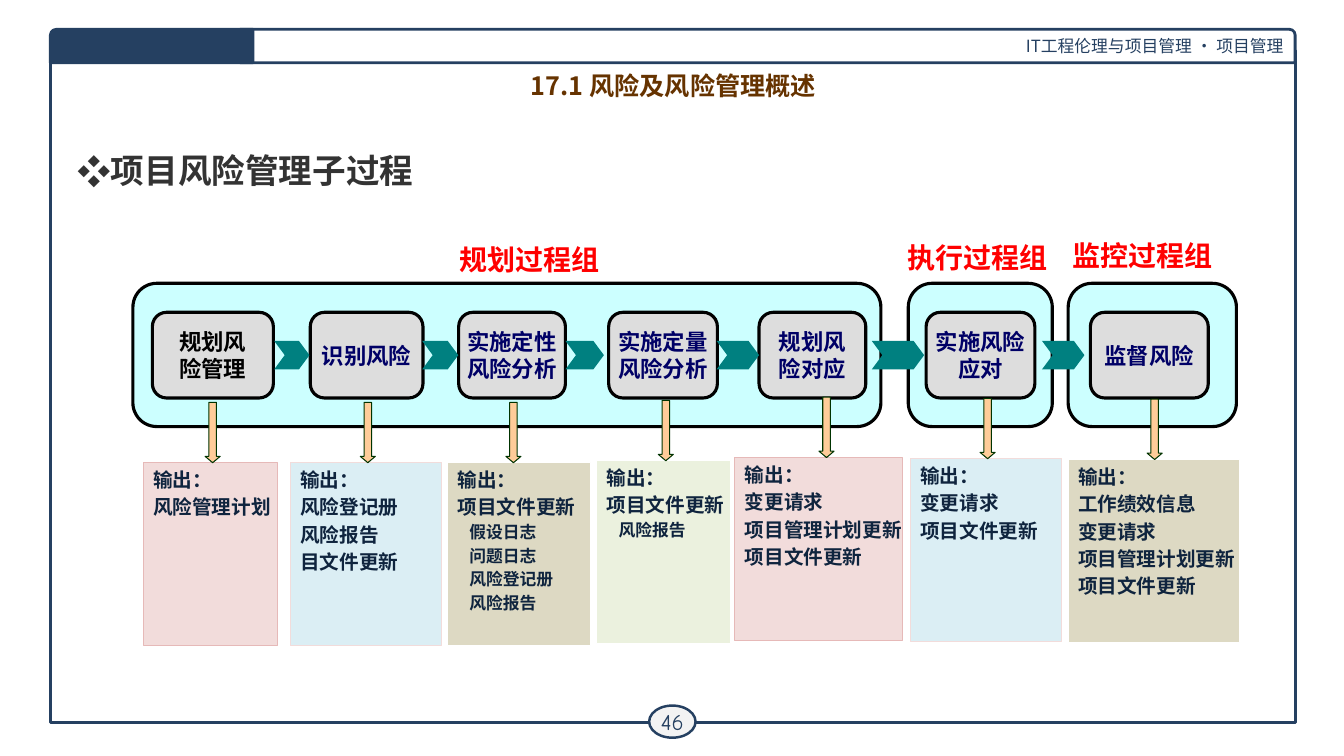
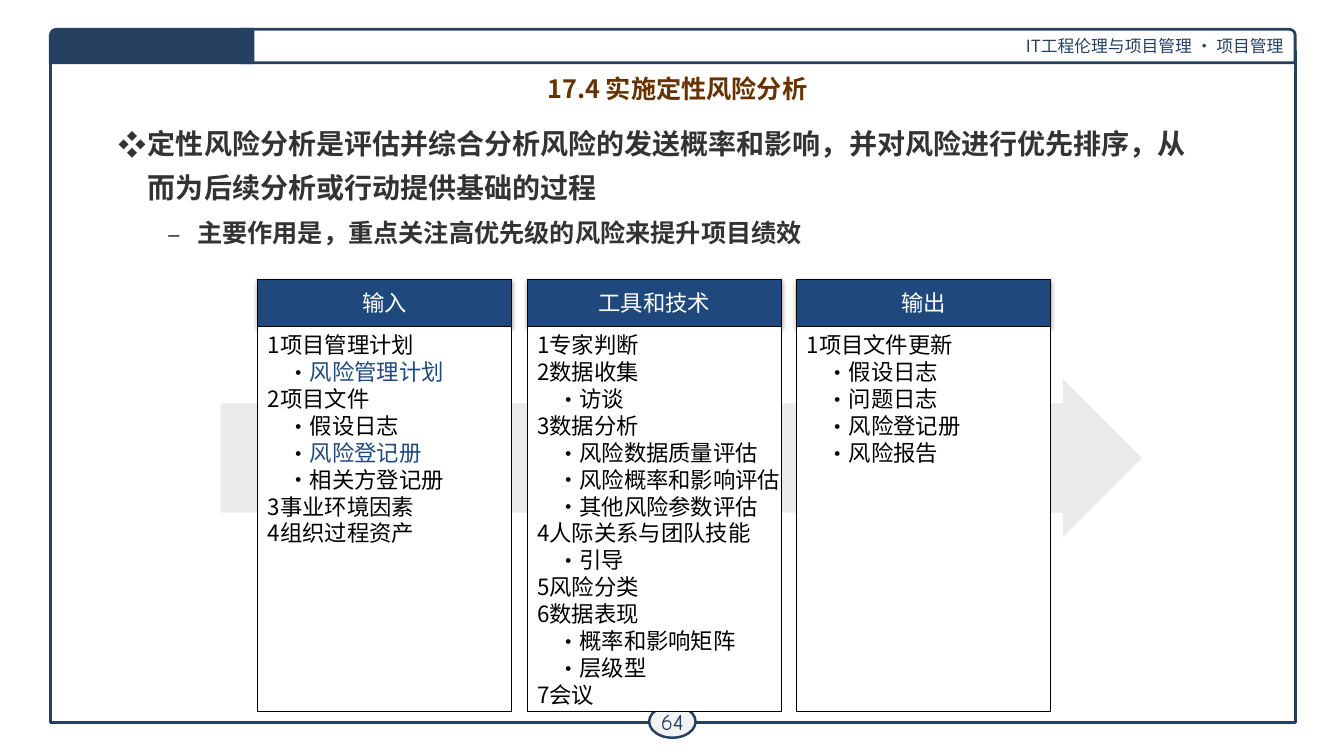
import pptx
import pptx.util
import pptx.dml.color
import pptx.enum.shapes
import pptx.enum.text
import pptx.oxml.ns
import lxml.etree

Cm = pptx.util.Cm
Pt = pptx.util.Pt
RGB = pptx.dml.color.RGBColor.from_string
KIND = pptx.enum.shapes.MSO_SHAPE
ALIGN = pptx.enum.text.PP_ALIGN
ANCHOR = pptx.enum.text.MSO_ANCHOR
qn = pptx.oxml.ns.qn
sub = lxml.etree.SubElement

FACE = "Noto Sans CJK SC"
INK = {
    "navy": "254061", "white": "FFFFFF", "black": "000000", "pale": "F3F3F3",
    "title": "663300", "body": "333333", "red": "FF0000", "cyan": "CCFFFF",
    "gray": "DDDDDD", "deep": "000066", "teal": "008080", "peach": "FFCC99",
    "green": "003300", "note": "0F243E", "rose": "F2DCDB", "pink": "E6B9B8",
    "sky": "DBEEF4", "sand": "DDD9C3", "lime": "EBF1DE", "blue": "1F497D",
    "mist": "EAEAEA",
}
BASE = {"size": 16, "tint": "black", "bold": False, "align": ALIGN.LEFT,
        "face": FACE, "lead": None, "gap": 0, "after": 0,
        "mark": None, "left": 0, "hang": 0}


def draw(slide, kind, box, fill=None, line=None, width=0.75, adj=()):
    shape = slide.shapes.add_shape(kind, *[Cm(n) for n in box])
    shape.shadow.inherit = False
    if fill:
        shape.fill.solid()
        shape.fill.fore_color.rgb = RGB(INK[fill])
    else:
        shape.fill.background()
    if line:
        shape.line.color.rgb = RGB(INK[line])
        shape.line.width = Pt(width)
    else:
        shape.line.fill.background()
    for i, part in enumerate(adj):
        shape.adjustments[i] = part
    return shape


def write(shape, rows, wrap=False, anchor=ANCHOR.TOP, **look):
    frame = shape.text_frame
    frame.word_wrap = wrap
    frame.auto_size = pptx.enum.text.MSO_AUTO_SIZE.NONE
    frame.vertical_anchor = anchor
    for i, row in enumerate(rows):
        text, own = row if isinstance(row, tuple) else (row, {})
        style = {**BASE, **look, **own}
        para = frame.paragraphs[0] if i == 0 else frame.add_paragraph()
        para.text = text
        para.alignment = style["align"]
        para.line_spacing = style["lead"]
        para.space_before = Pt(style["gap"] if i else 0)
        para.space_after = Pt(style["after"])
        prop = para._p.get_or_add_pPr()
        prop.set("marL", str(int(Cm(style["left"]))))
        prop.set("indent", str(int(Cm(-style["hang"]))))
        if style["mark"]:
            tone = sub(prop, qn("a:buClr"))
            sub(tone, qn("a:srgbClr"), val=INK[style.get("dot", style["tint"])])
            sub(prop, qn("a:buFont"), typeface=FACE)
            sub(prop, qn("a:buChar"), char=style["mark"])
        para.font.size = Pt(style["size"])
        para.font.bold = style["bold"]
        para.font.color.rgb = RGB(INK[style["tint"]])
        para.font.name = style["face"]
        sub(prop.find(qn("a:defRPr")), qn("a:ea"), typeface=style["face"])


deck = pptx.Presentation()
deck.slide_width = Cm(33.87)
deck.slide_height = Cm(19.05)
plan = deck.slide_layouts[5]
for hold in list(plan.placeholders):
    if hold.placeholder_format.idx:
        plan.shapes.element.remove(hold._element)

HEADS = [
    ("17.1 风险及风险管理概述", (5.54, 1.65, 22.86, 1), "46"),
    ("17.4 实施定性风险分析", (5.64, 1.73, 22.86, 1.22), "64"),
]
pages = []
for text, box, page in HEADS:
    slide = deck.slides.add_slide(plan)
    title = slide.shapes.title
    title.left, title.top, title.width, title.height = [Cm(n) for n in box]
    write(title, [text], True, size=18, tint="title", bold=True, align=ALIGN.CENTER)
    if not pages:
        edge = draw(slide, KIND.RECTANGLE, (1.27, 1.27, 31.37, 16.94), None, "navy", 2)
        band = draw(slide, KIND.ROUND_SINGLE_CORNER_RECTANGLE if hasattr(KIND, "ROUND_SINGLE_CORNER_RECTANGLE") else KIND.ROUND_1_RECTANGLE,
                    (6.05, 0.74, 26.59, 0.84), "white", "navy", 2)
        write(band, ["IT工程伦理与项目管理 · 项目管理"], True, ANCHOR.MIDDLE,
              size=12, tint="navy", align=ALIGN.RIGHT)
        tab = draw(slide, KIND.ROUND_1_RECTANGLE, (1.27, 0.74, 5.11, 0.84),
                   "navy", "navy", 2, [0.18])
        tab._element.spPr.find(qn("a:xfrm")).set("flipH", "1")
        for shape in (edge, band, tab):
            plan.shapes.element.append(shape._element)
    disc = draw(slide, KIND.OVAL, (16.36, 17.78, 1.17, 0.81), "pale", "navy", 1.75)
    text_box = disc.text_frame
    text_box.margin_left = text_box.margin_right = Cm(0.1)
    text_box.margin_top = text_box.margin_bottom = Cm(0.1)
    write(disc, [page], False, ANCHOR.MIDDLE, tint="navy",
          face="Comic Neue", align=ALIGN.CENTER)
    pages.append(slide)
flow, chart = pages

POINT = {"mark": "❖", "left": 0.74, "hang": 0.74, "after": 2.4}
DASH = {"mark": "–", "left": 1.98, "hang": 0.76, "size": 18, "gap": 0.4, "after": 0.1}
BODIES = [
    (flow, (1.7, 3.15, 30.48, 2.2), 24, 1.5, [("项目风险管理子过程", POINT)]),
    (chart, (2.74, 2.82, 27.76, 3.9), 20, 1.3, [
        ("定性风险分析是评估并综合分析风险的发送概率和影响，并对风险进行优先排序，"
         "从而为后续分析或行动提供基础的过程", POINT),
        ("主要作用是，重点关注高优先级的风险来提升项目绩效", DASH)]),
]
for slide, box, size, lead, rows in BODIES:
    body = slide.shapes.add_textbox(*[Cm(n) for n in box])
    write(body, rows, True, size=size, lead=lead, tint="body", bold=True)

GROUPS = [
    ("规划过程组", 3.35, 18.85, 11.33, 5.99),
    ("执行过程组", 22.89, 3.63, 22.61, 5.94),
    ("监控过程组", 26.92, 4.24, 26.77, 5.89),
]
for name, left, width, tag_left, tag_top in GROUPS:
    draw(flow, KIND.FLOWCHART_ALTERNATE_PROCESS, (left, 7.14, width, 3.61),
         "cyan", "black", 2.25)
    tag = flow.shapes.add_textbox(Cm(tag_left), Cm(tag_top), Cm(4.09), Cm(1.12))
    write(tag, [name], size=20, tint="red", bold=True)

STEPS = [
    (["规划风", "险管理"], 3.84, 3.05, 5.36, (3.61, 11.66, 3.38), "rose", "pink",
     ["风险管理计划"], []),
    (["识别风险"], 7.82, 2.84, 9.27, (7.32, 11.66, 3.81), "sky", "rose",
     ["风险登记册", "风险报告", "目文件更新"], []),
    (["实施定性", "风险分析"], 11.56, 2.69, 12.94, (11.28, 11.66, 3.61), "sand", "white",
     ["项目文件更新"], ["假设日志", "问题日志", "风险登记册", "风险报告"]),
    (["实施定量", "风险分析"], 15.34, 2.74, 16.78, (15.04, 11.61, 3.38), "lime", "white",
     ["项目文件更新"], ["风险报告"]),
    (["规划风", "险对应"], 19.13, 2.69, 20.83, (18.52, 11.53, 4.22), "rose", "pink",
     ["变更请求", "项目管理计划更新", "项目文件更新"], []),
    (["实施风险", "应对"], 23.34, 2.74, 24.89, (22.94, 11.56, 3.81), "sky", "rose",
     ["变更请求", "项目文件更新"], []),
    (["监督风险"], 27.48, 2.97, 29.1, (26.92, 11.58, 4.32), "sand", "white",
     ["工作绩效信息", "变更请求", "项目管理计划更新", "项目文件更新"], []),
]
for i, (name, left, width, mid, out, fill, line, main, minor) in enumerate(STEPS):
    step = draw(flow, KIND.FLOWCHART_ALTERNATE_PROCESS, (left, 7.87, width, 2.16),
                "gray", "black", 2.25)
    write(step, name, False, ANCHOR.MIDDLE, bold=True, align=ALIGN.CENTER,
          tint="deep" if i else "black")
    card = draw(flow, KIND.RECTANGLE, (*out, 4.6), fill, line)
    rows = ["输出：", *main]
    rows += [(text, {"size": 12, "gap": 2.4, "left": 0.3}) for text in minor]
    write(card, rows, size=14, tint="note", bold=True, gap=2.8)
    draw(flow, KIND.DOWN_ARROW, (mid - 0.19, out[1] - 1.52, 0.38, 1.52),
         "peach", "green", adj=[0.5, 0.42])

LINKS = [(6.91, 0.89), (10.64, 0.91), (14.25, 0.97),
         (18.06, 1.07), (21.97, 1.32), (26.26, 1.07)]
for left, width in LINKS:
    draw(flow, KIND.CHEVRON, (left, 8.59, width, 0.72), "teal", adj=[0.37])

draw(chart, KIND.RIGHT_ARROW, (5.56, 9.55, 23.22, 3.99), "mist", adj=[0.69, 0.5])
DOT = {"mark": "·", "left": 1.06, "hang": 0.56, "dot": "black"}
KEY = {**DOT, "tint": "blue"}
COLS = [
    ("输入", [
        "1项目管理计划", ("风险管理计划", KEY),
        "2项目文件", ("假设日志", DOT), ("风险登记册", KEY), ("相关方登记册", DOT),
        "3事业环境因素", "4组织过程资产"]),
    ("工具和技术", [
        "1专家判断", "2数据收集", ("访谈", DOT),
        "3数据分析", ("风险数据质量评估", DOT), ("风险概率和影响评估", DOT),
        ("其他风险参数评估", DOT),
        "4人际关系与团队技能", ("引导", DOT), "5风险分类",
        "6数据表现", ("概率和影响矩阵", DOT), ("层级型", DOT), "7会议"]),
    ("输出", [
        "1项目文件更新", ("假设日志", DOT), ("问题日志", DOT),
        ("风险登记册", DOT), ("风险报告", DOT)]),
]
for i, (name, rows) in enumerate(COLS):
    left = 6.5 + 6.79 * i
    head = draw(chart, KIND.RECTANGLE, (left, 7.04, 6.4, 1.19), "blue", "black")
    glow = sub(head._element.spPr.find(qn("a:effectLst")), qn("a:outerShdw"),
               blurRad="40000", dist="23000", dir="5400000", rotWithShape="0")
    tone = sub(glow, qn("a:srgbClr"), val=INK["black"])
    sub(tone, qn("a:alpha"), val="35000")
    write(head, [name], False, ANCHOR.MIDDLE, tint="white", align=ALIGN.CENTER)
    card = draw(chart, KIND.RECTANGLE, (left, 8.23, 6.4, 9.7), "white", "black")
    write(card, rows)

deck.save("out.pptx")
